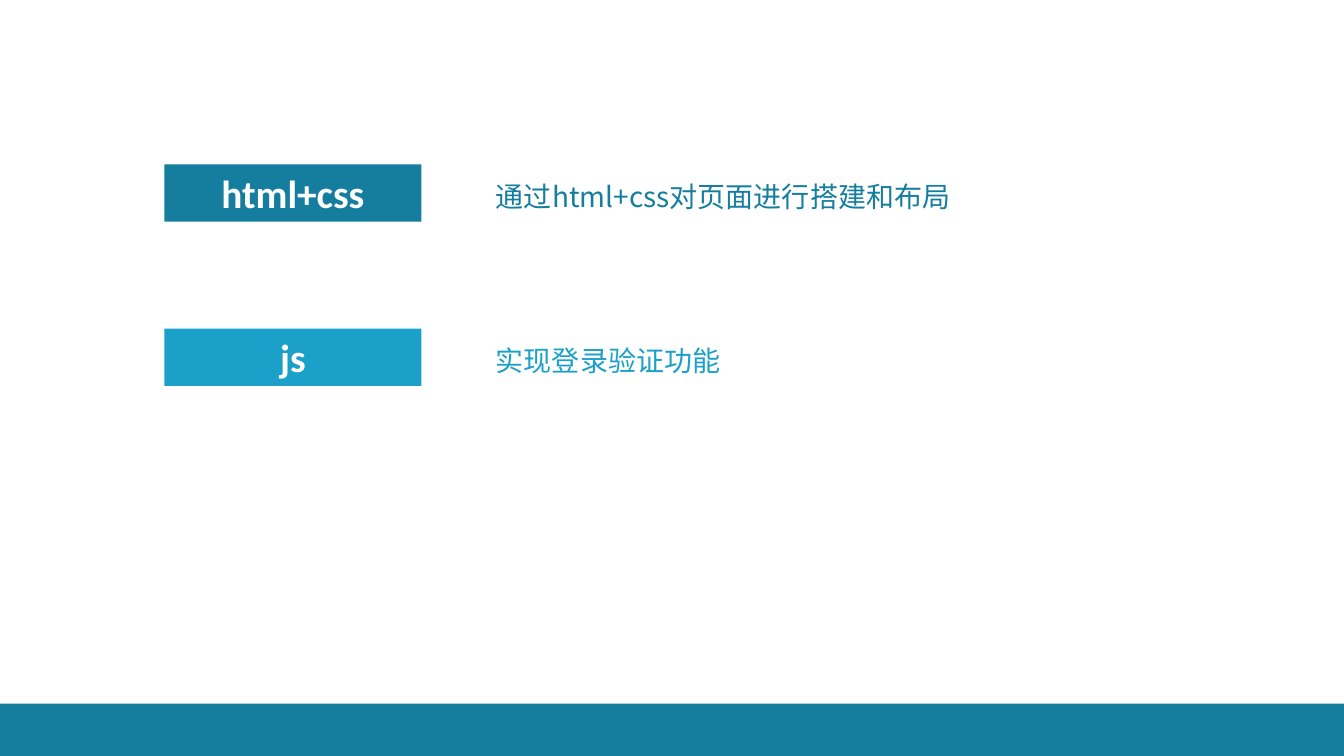
import pptx
import pptx.dml.color
import pptx.enum.shapes
import pptx.enum.text
import pptx.oxml.ns
import pptx.util
from lxml import etree

Inches = pptx.util.Inches
TEAL = "157E9F"
SKY = "1BA0C9"
WHITE = "FFFFFF"


def paint(target, color):
    """Give a fill a solid colour, or a font its text colour."""
    rgb = pptx.dml.color.RGBColor.from_string(color)
    if isinstance(target, pptx.dml.fill.FillFormat):
        target.solid()
        target.fore_color.rgb = rgb
    else:
        target.color.rgb = rgb


def add_bar(left, top, width, height, color):
    bar = page.shapes.add_shape(
        pptx.enum.shapes.MSO_SHAPE.RECTANGLE,
        Inches(left), Inches(top), Inches(width), Inches(height))
    bar.shadow.inherit = False
    bar.line.fill.background()
    paint(bar.fill, color)
    return bar


deck = pptx.Presentation()
deck.slide_width = Inches(13.33)
deck.slide_height = Inches(7.5)
page = deck.slides.add_slide(deck.slide_layouts[6])
paint(page.background.fill, WHITE)

add_bar(0, 6.98, 13.33, 0.52, TEAL)

topics = [
    ("html+css", "通过html+css对页面进行搭建和布局", TEAL),
    ("js", "实现登录验证功能", SKY),
]
for row, (label, description, color) in enumerate(topics):
    top = 1.63 * (row + 1)

    tag = add_bar(1.63, top, 2.55, 0.57, color)
    tag.text_frame.text = label
    tag.text_frame.vertical_anchor = pptx.enum.text.MSO_ANCHOR.MIDDLE
    para = tag.text_frame.paragraphs[0]
    para.alignment = pptx.enum.text.PP_ALIGN.CENTER
    font = para.runs[0].font
    font.name = "Calibri"
    font.size = pptx.util.Pt(28)
    font.bold = True
    paint(font, WHITE)

    box = page.shapes.add_textbox(
        Inches(4.82), Inches(top), Inches(10.29), Inches(0.54))
    box.text_frame.word_wrap = True
    box.text_frame.auto_size = pptx.enum.text.MSO_AUTO_SIZE.SHAPE_TO_FIT_TEXT
    box.text_frame.text = description
    para = box.text_frame.paragraphs[0]
    para.line_spacing = 1.3
    span = para.runs[0]
    span.font.name = "Noto Sans CJK SC"
    span.font.size = pptx.util.Pt(20)
    paint(span.font, color)
    # Chinese characters take their typeface from a:ea
    east_asian = etree.SubElement(
        span._r.get_or_add_rPr(), pptx.oxml.ns.qn("a:ea"))
    east_asian.set("typeface", "Noto Sans CJK SC")

deck.save("out.pptx")
